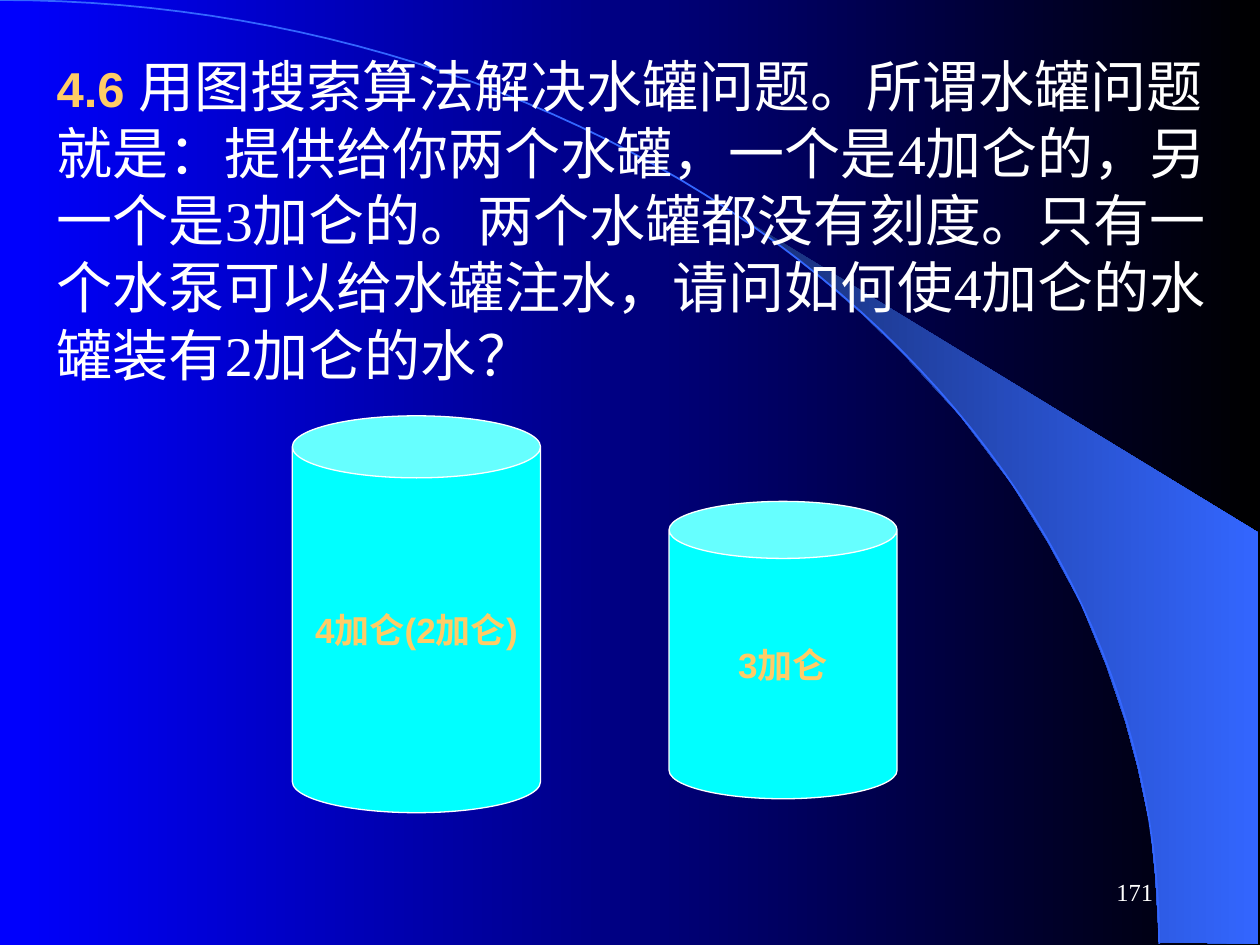
import math

import pptx
import pptx.dml.color
import pptx.enum.shapes
import pptx.enum.text
import pptx.util
from pptx.util import Inches

COLORS = {
    "blue": "0000FF", "black": "000000", "navy": "182F76", "azure": "3366FF",
    "cyan": "00FFFF", "gold": "FFCC66", "white": "FFFFFF",
}
BEAM_EDGE = [  # curved edge of the beam, from its tip down to the slide bottom
    (5.89, 1.73), (6.24, 1.99), (6.53, 2.22), (6.85, 2.5), (7.16, 2.8),
    (7.62, 3.3), (8.03, 3.84), (8.32, 4.31), (8.58, 4.79), (8.78, 5.28),
    (8.93, 5.72), (9.03, 6.09), (9.13, 6.56), (9.17, 6.96), (9.2, 7.48),
]
ARC_STEPS = 60


def rgb(name):
    return pptx.dml.color.RGBColor.from_string(COLORS[name])


def fill_gradient(fill, *names):
    """Fill left to right from the first colour to the last."""
    fill.gradient()
    fill.gradient_angle = 0
    for stop, name in zip(fill.gradient_stops, names):
        stop.color.rgb = rgb(name)


def style_span(span, size, color, font="Times New Roman", bold=False):
    span.font.size = pptx.util.Pt(size)
    span.font.color.rgb = rgb(color)
    span.font.name = font
    span.font.bold = bold


def draw_outline(page, points, close):
    points = [(Inches(x), Inches(y)) for x, y in points]
    builder = page.shapes.build_freeform(*points[0])
    builder.add_line_segments(points[1:], close=close)
    shape = builder.convert_to_shape()
    shape.shadow.inherit = False
    return shape


def add_backdrop(page, width, height):
    """Gradient background with a beam and a quarter-ellipse line."""
    fill_gradient(page.background.fill, "blue", "black")
    beam = draw_outline(page, BEAM_EDGE + [(9.99, 7.49), (9.99, 4.23)], True)
    fill_gradient(beam.fill, "navy", "azure")
    beam.line.fill.background()

    angles = [math.pi / 2 * step / ARC_STEPS for step in range(ARC_STEPS + 1)]
    arc = draw_outline(page, [(width * math.sin(angle), height * (1 - math.cos(angle)))
                              for angle in angles], False)
    arc.fill.background()
    arc.line.color.rgb = rgb("azure")
    arc.line.width = pptx.util.Pt(1)


def add_page_number(page, left, top, width, height, number):
    box = page.shapes.add_textbox(Inches(left), Inches(top), Inches(width), Inches(height))
    box.text_frame.word_wrap = True
    box.text_frame.vertical_anchor = pptx.enum.text.MSO_ANCHOR.MIDDLE
    para = box.text_frame.paragraphs[0]
    para.text = number
    para.alignment = pptx.enum.text.PP_ALIGN.RIGHT
    style_span(para.runs[0], 14, "white")


def place_question(page, left, top, width, height, number, question):
    title = page.shapes.title
    title.left, title.top = Inches(left), Inches(top)
    title.width, title.height = Inches(width), Inches(height)
    page.shapes._spTree.append(title._element)  # in front of the backdrop
    frame = title.text_frame
    frame.auto_size = pptx.enum.text.MSO_AUTO_SIZE.NONE
    frame.word_wrap = True
    frame.vertical_anchor = pptx.enum.text.MSO_ANCHOR.MIDDLE
    para = frame.paragraphs[0]
    para.alignment = pptx.enum.text.PP_ALIGN.LEFT
    # Keep punctuation inside the margin at line ends
    para._p.get_or_add_pPr().set("hangingPunct", "0")
    for text, style in ((number, (28, "gold", "Arial", True)), (question, (32, "white"))):
        span = para.add_run()
        span.text = text
        style_span(span, *style)


def add_jug(page, left, top, width, height, label):
    jug = page.shapes.add_shape(pptx.enum.shapes.MSO_SHAPE.CAN, Inches(left), Inches(top),
                                Inches(width), Inches(height))
    jug.shadow.inherit = False
    jug.adjustments[0] = 0.25
    jug.fill.solid()
    jug.fill.fore_color.rgb = rgb("cyan")
    jug.line.color.rgb = rgb("white")
    jug.line.width = pptx.util.Pt(0.75)
    frame = jug.text_frame
    frame.word_wrap = False
    frame.vertical_anchor = pptx.enum.text.MSO_ANCHOR.MIDDLE
    para = frame.paragraphs[0]
    para.text = label
    para.alignment = pptx.enum.text.PP_ALIGN.CENTER
    style_span(para.runs[0], 20, "gold", "Arial", True)


def main():
    deck = pptx.Presentation()
    deck.slide_width, deck.slide_height = Inches(10), Inches(7.5)
    page = deck.slides.add_slide(deck.slide_layouts[5])
    add_backdrop(page, 9.2, 7.49)
    add_page_number(page, 7.17, 6.83, 2.08, 0.5, "171")
    place_question(
        page, 0.35, 0.6, 9.34, 2.28, "4.6 ",
        "用图搜索算法解决水罐问题。所谓水罐问题就是：提供给你两个水罐，"
        "一个是4加仑的，另一个是3加仑的。两个水罐都没有刻度。"
        "只有一个水泵可以给水罐注水，请问如何使4加仑的水罐装有2加仑的水？")
    add_jug(page, 2.32, 3.3, 1.97, 3.15, "4加仑(2加仑)")
    add_jug(page, 5.31, 3.98, 1.81, 2.36, "3加仑")
    deck.save("out.pptx")


if __name__ == "__main__":
    main()
